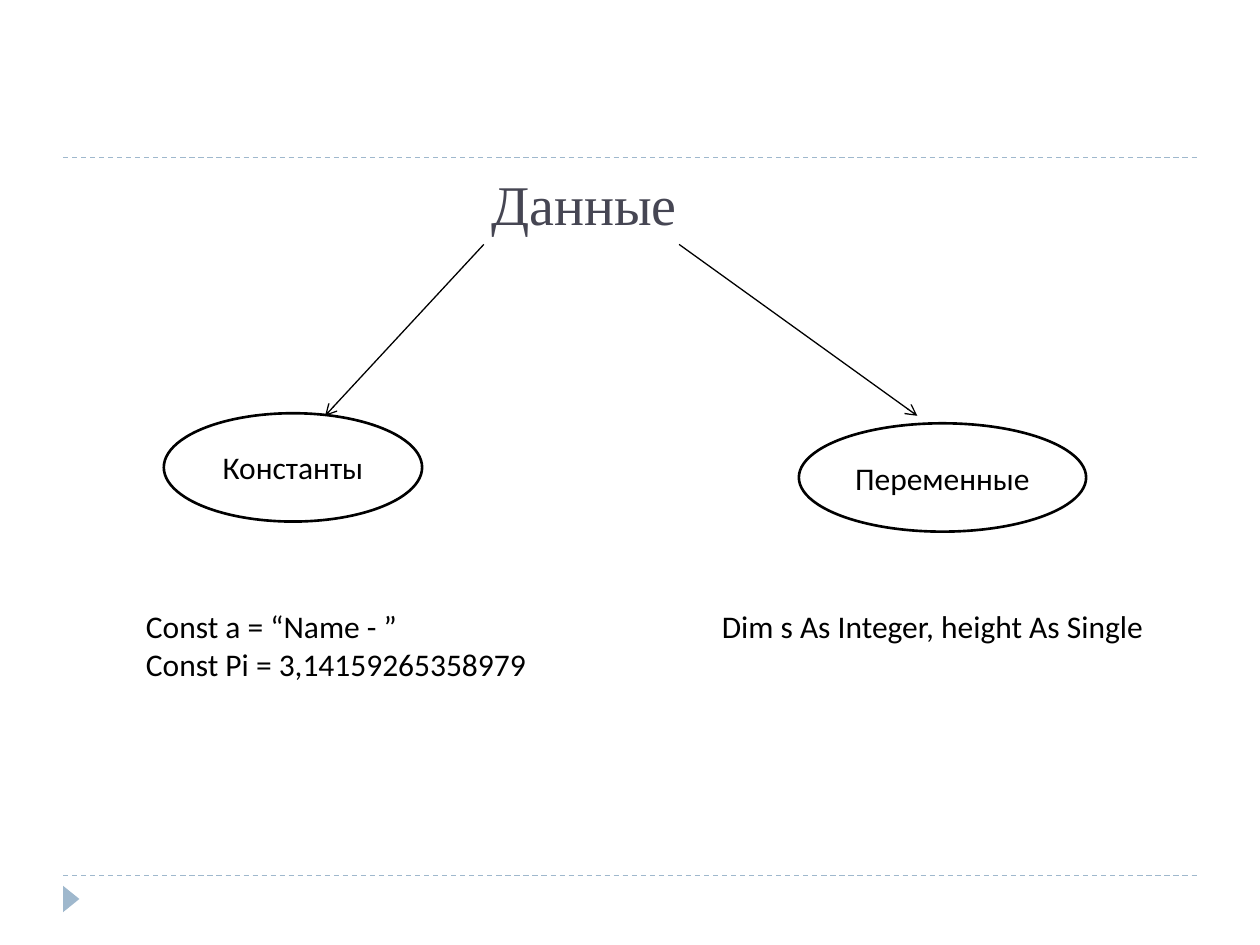
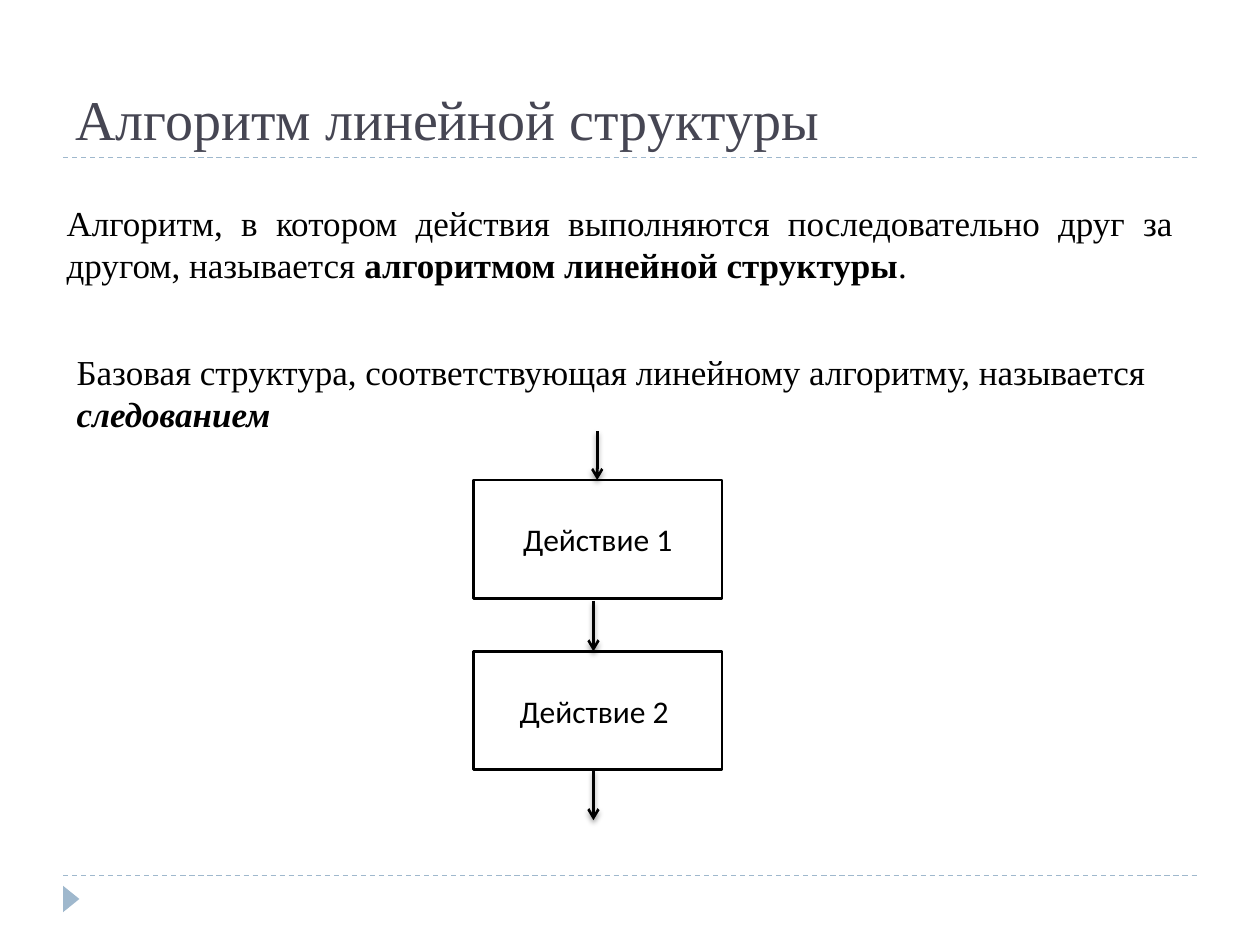
from lxml import etree
from pptx import Presentation
from pptx.dml.color import RGBColor
from pptx.enum import dml, shapes, text
from pptx.oxml import parse_xml
from pptx.oxml.ns import nsdecls, qn
from pptx.util import Inches, Pt

COLORS = {"ink": "000000", "paper": "FFFFFF", "title": "464653", "accent": "9FB8CD"}
BODY, SERIF = "Calibri", "Times New Roman"
SHADOW = (
    '<a:outerShdw blurRad="38100" dist="25400" dir="5400000" rotWithShape="0">'
    '<a:srgbClr val="000000"><a:alpha val="40000"/></a:srgbClr></a:outerShdw>'
)


def rgb(name):
    """Return a palette colour."""
    return RGBColor.from_string(COLORS[name])


def inches(*values):
    """Convert numbers to lengths in inches."""
    return [Inches(v) for v in values]


class Deck:
    """Holds the shared style and the current slide."""

    def __init__(self):
        """Start an empty 4:3 presentation."""
        self.prs = Presentation()
        self.prs.slide_width, self.prs.slide_height = inches(10, 7.5)
        self.slide = None

    def new_slide(self, title, box):
        """Add a slide with its rules, corner marker and title."""
        self.slide = self.prs.slides.add_slide(self.prs.slide_layouts[6])
        for y in (6.95, 1.25):
            self.line((0.5, y), (9.5, y), color="accent", dashed=True)
        marker = self.shape(shapes.MSO_SHAPE.ISOSCELES_TRIANGLE,
                            (0.46, 7.07, 0.21, 0.13), fill="accent")
        marker.rotation = 90
        self.text_box(box, [[title]], size=32, font=SERIF, color="title",
                      anchor=text.MSO_ANCHOR.BOTTOM, grow=False)

    def line(self, start, end, color="ink", width=0.75,
             dashed=False, arrow=False, shadow=False):
        """Draw a straight line, optionally an arrow."""
        sp = self.slide.shapes.add_connector(
            shapes.MSO_CONNECTOR.STRAIGHT, *inches(*start, *end))
        sp.line.color.rgb = rgb(color)
        sp.line.width = Pt(width)
        if dashed:
            sp.line.dash_style = dml.MSO_LINE.DASH
        sp_pr = sp._element.spPr
        if arrow:
            tail = etree.SubElement(sp_pr.find(qn("a:ln")), qn("a:tailEnd"))
            tail.set("type", "arrow")
        effects = SHADOW if shadow else ""
        sp_pr.append(parse_xml(
            f'<a:effectLst {nsdecls("a")}>{effects}</a:effectLst>'))

    def shape(self, kind, box, fill="paper", outline=None):
        """Draw a flat preset shape."""
        sp = self.slide.shapes.add_shape(kind, *inches(*box))
        sp.shadow.inherit = False
        sp.fill.solid()
        sp.fill.fore_color.rgb = rgb(fill)
        if outline:
            sp.line.color.rgb = rgb(outline)
            sp.line.width = Pt(1.5)
        else:
            sp.line.fill.background()
        return sp

    def node(self, kind, box, label):
        """Draw an outlined shape with a centred label."""
        sp = self.shape(kind, box, outline="ink")
        sp.text_frame.vertical_anchor = text.MSO_ANCHOR.MIDDLE
        self.fill_text(sp.text_frame, [[label]], align=text.PP_ALIGN.CENTER)

    def text_box(self, box, paragraphs, wrap=True, grow=True,
                 anchor=text.MSO_ANCHOR.TOP, **style):
        """Add a text box."""
        tf = self.slide.shapes.add_textbox(*inches(*box)).text_frame
        tf.word_wrap = wrap
        tf.vertical_anchor = anchor
        if grow:
            tf.auto_size = text.MSO_AUTO_SIZE.SHAPE_TO_FIT_TEXT
        self.fill_text(tf, paragraphs, **style)

    def fill_text(self, tf, paragraphs, size=18, font=BODY, color="ink",
                  align=text.PP_ALIGN.LEFT):
        """Write paragraphs of runs; a run is text or (text, bold, italic)."""
        for i, runs in enumerate(paragraphs):
            p = tf.add_paragraph() if i else tf.paragraphs[0]
            p.alignment = align
            p.font.size, p.font.name = Pt(size), font
            p.font.color.rgb = rgb(color)
            for run in runs:
                r = p.add_run()
                if isinstance(run, str):
                    r.text = run
                else:
                    r.text, r.font.bold, r.font.italic = run


def data_slide(deck):
    """Data split into constants and variables."""
    deck.new_slide("Данные", (3.8, 0.68, 9, 1.25))
    deck.line((3.84, 1.94), (2.58, 3.3), arrow=True)
    deck.line((5.39, 1.94), (7.28, 3.3), arrow=True)
    oval = shapes.MSO_SHAPE.OVAL
    deck.node(oval, (1.3, 3.28, 2.05, 0.86), "Константы")
    deck.node(oval, (6.34, 3.36, 2.28, 0.86), "Переменные")
    deck.text_box((1.06, 4.77, 3.25, 0.71),
                  [["Const a = “Name - ”"], ["Const Pi = 3,14159265358979"]],
                  wrap=False)
    deck.text_box((5.63, 4.77, 3.59, 0.4),
                  [["Dim s As Integer, height As Single"]], wrap=False)


def linear_slide(deck):
    """Linear algorithm with its flowchart."""
    deck.new_slide("Алгоритм линейной структуры", (0.5, 0.25, 9, 1))
    deck.text_box((0.43, 1.55, 8.98, 0.77), [[
        "Алгоритм, в котором действия выполняются последовательно друг за "
        "другом, называется ",
        ("алгоритмом линейной структуры", True, False), ". "]],
        size=20, font=SERIF, align=text.PP_ALIGN.JUSTIFY)
    deck.text_box((0.51, 2.73, 8.9, 0.77), [[
        "Базовая структура, соответствующая линейному алгоритму, называется ",
        ("следованием ", True, True)]], size=20, font=SERIF)
    for label, y in (("Действие 1", 3.81), ("Действие 2 ", 5.17)):
        deck.node(shapes.MSO_SHAPE.RECTANGLE, (3.76, y, 1.97, 0.94), label)
    for x, top, bottom in ((4.74, 3.42, 3.81), (4.71, 4.77, 5.17), (4.71, 6.11, 6.51)):
        deck.line((x, top), (x, bottom), width=1.5, arrow=True, shadow=True)


deck = Deck()
data_slide(deck)
linear_slide(deck)
deck.prs.save("out.pptx")
